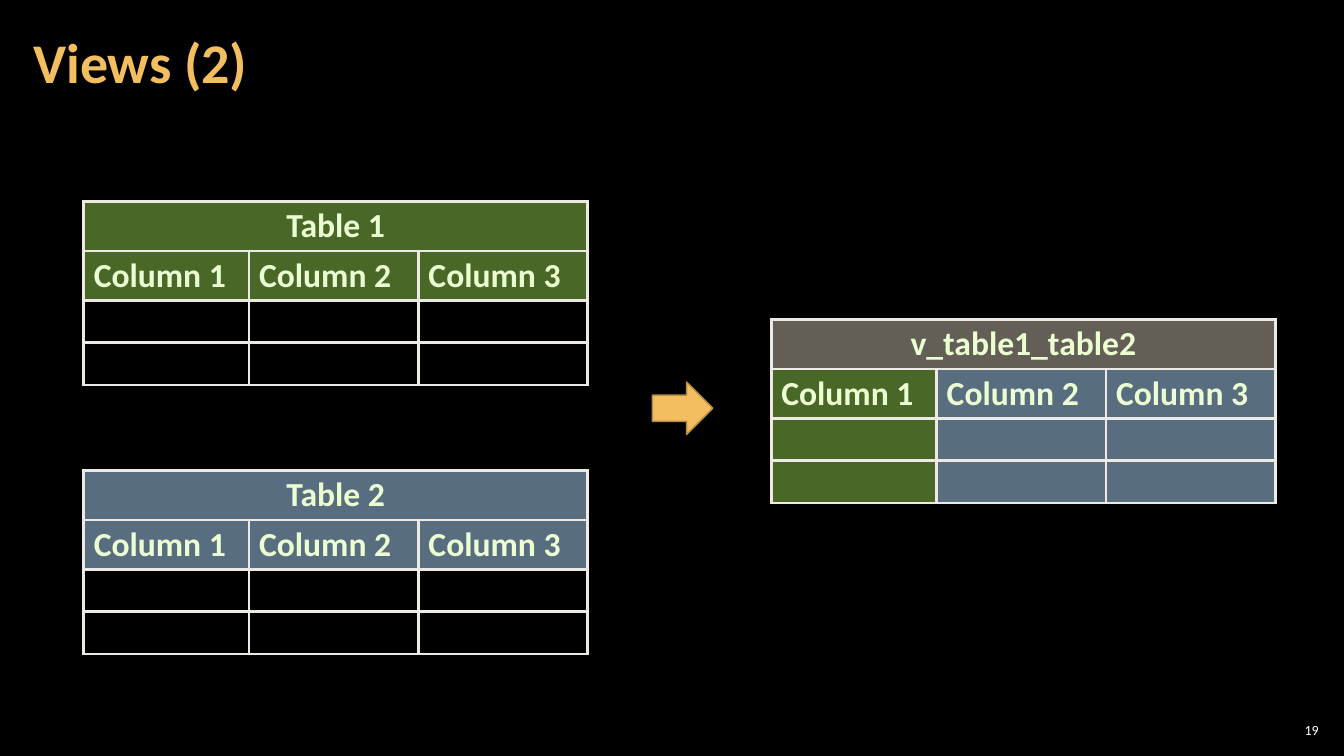
from lxml.etree import SubElement
from pptx import Presentation
from pptx.dml.color import RGBColor
from pptx.enum.shapes import MSO_SHAPE as Shape
from pptx.enum.text import MSO_ANCHOR as Anchor, MSO_AUTO_SIZE as AutoSize, PP_ALIGN as Align
from pptx.oxml import parse_xml
from pptx.oxml.ns import nsdecls, qn
from pptx.util import Pt

PX = 9144  # 100 px to the inch
COLORS = {
    "background": "000000", "number": "FFFFFF", "accent": "F3BE60",
    "accent_edge": "B48D47", "cell_text": "EBFFD2", "border": "ECEAE3",
    "green": "92D050", "blue": "B1DDFF", "grey": "C7BFAC",
}
COLUMN_WIDTHS = (164, 168, 168)
ROW_HEIGHTS = (49, 49, 42, 42)
BORDER_PT = 2.25


def px(*lengths):
    return [length * PX for length in lengths]


def color(name):
    return RGBColor.from_string(COLORS[name])


def set_all(target, values):
    for attribute, value in values.items():
        setattr(target, attribute, value)


def write(frame, text, size, ink, bold=False, align=Align.LEFT, spacing=1.0):
    paragraph = frame.paragraphs[0]
    set_all(paragraph, {"alignment": align, "line_spacing": spacing})
    run = paragraph.add_run()
    run.text = text
    set_all(run.font, {"name": "Calibri", "size": Pt(size), "bold": bold})
    run.font.color.rgb = color(ink)


def frame_format(frame, side_margin):
    side, edge = px(side_margin, 4)
    set_all(frame, {
        "word_wrap": True, "auto_size": AutoSize.NONE,
        "vertical_anchor": Anchor.MIDDLE,
        "margin_left": side, "margin_right": side,
        "margin_top": edge, "margin_bottom": edge,
    })


def add_title(slide, box, text):
    title = slide.shapes.title
    set_all(title, dict(zip(("left", "top", "width", "height"), px(*box))))
    frame_format(title.text_frame, 12)
    write(title.text_frame, text, 40, "accent", bold=True, spacing=0.9)


def add_page_number(slide, box, text):
    frame = slide.shapes.add_textbox(*px(*box)).text_frame
    frame_format(frame, 4)
    write(frame, text, 10, "number", align=Align.RIGHT)


def style_cell(cell, fill):
    """Half-transparent fill, or none, inside a light border."""
    if fill:
        cell.fill.solid()
        cell.fill.fore_color.rgb = color(fill)
    else:
        cell.fill.background()
    properties = cell._tc.get_or_add_tcPr()
    for tint in properties.iter(qn("a:srgbClr")):
        SubElement(tint, qn("a:alpha"), val="50000")
    for position, side in enumerate("LRTB"):
        properties.insert(position, parse_xml(
            f'<a:ln{side} {nsdecls("a")} w="{Pt(BORDER_PT)}"><a:solidFill>'
            f'<a:srgbClr val="{COLORS["border"]}"/></a:solidFill></a:ln{side}>'))


def add_data_table(slide, left, top, name, name_fill, column_fills, fill_body=False):
    """Merged name row, column headings and two empty rows."""
    box = px(left, top, sum(COLUMN_WIDTHS), sum(ROW_HEIGHTS))
    table = slide.shapes.add_table(len(ROW_HEIGHTS), len(COLUMN_WIDTHS), *box).table
    set_all(table, {"first_row": False, "horz_banding": False})
    for column, width in zip(table.columns, px(*COLUMN_WIDTHS)):
        column.width = width
    for row, height in zip(table.rows, px(*ROW_HEIGHTS)):
        row.height = height

    body_fills = column_fills if fill_body else [None] * 3
    row_fills = ([name_fill] * 3, column_fills, body_fills, body_fills)
    for row, fills in zip(table.rows, row_fills):
        for cell, fill in zip(row.cells, fills):
            style_cell(cell, fill)

    table.cell(0, 0).merge(table.cell(0, 2))
    heading = {"size": 24, "ink": "cell_text", "bold": True, "spacing": 0.95}
    write(table.cell(0, 0).text_frame, name, align=Align.CENTER, **heading)
    for number, cell in enumerate(table.rows[1].cells, 1):
        write(cell.text_frame, f"Column {number}", **heading)


def add_arrow(slide, box):
    arrow = slide.shapes.add_shape(Shape.RIGHT_ARROW, *px(*box))
    arrow.shadow.inherit = False
    arrow.fill.solid()
    arrow.fill.fore_color.rgb = color("accent")
    arrow.line.color.rgb = color("accent_edge")
    arrow.line.width = Pt(1)


def add_views_slide(deck):
    slide = deck.slides.add_slide(deck.slide_layouts[5])
    slide.background.fill.solid()
    slide.background.fill.fore_color.rgb = color("background")

    add_page_number(slide, (1265, 714, 47, 21), "19")
    add_title(slide, (21, 4, 1047, 121), "Views (2)")

    # Source tables
    add_data_table(slide, 83, 467, "Table 2", "blue", ["blue"] * 3)
    add_data_table(slide, 83, 200, "Table 1", "green", ["green"] * 3)

    # View combining columns of both
    add_data_table(slide, 765, 317, "v_table1_table2", "grey",
                   ["green", "blue", "blue"], fill_body=True)
    add_arrow(slide, (647, 379, 60, 52))


def main():
    deck = Presentation()
    deck.slide_width, deck.slide_height = px(1333, 750)
    add_views_slide(deck)
    deck.save("out.pptx")


if __name__ == "__main__":
    main()
